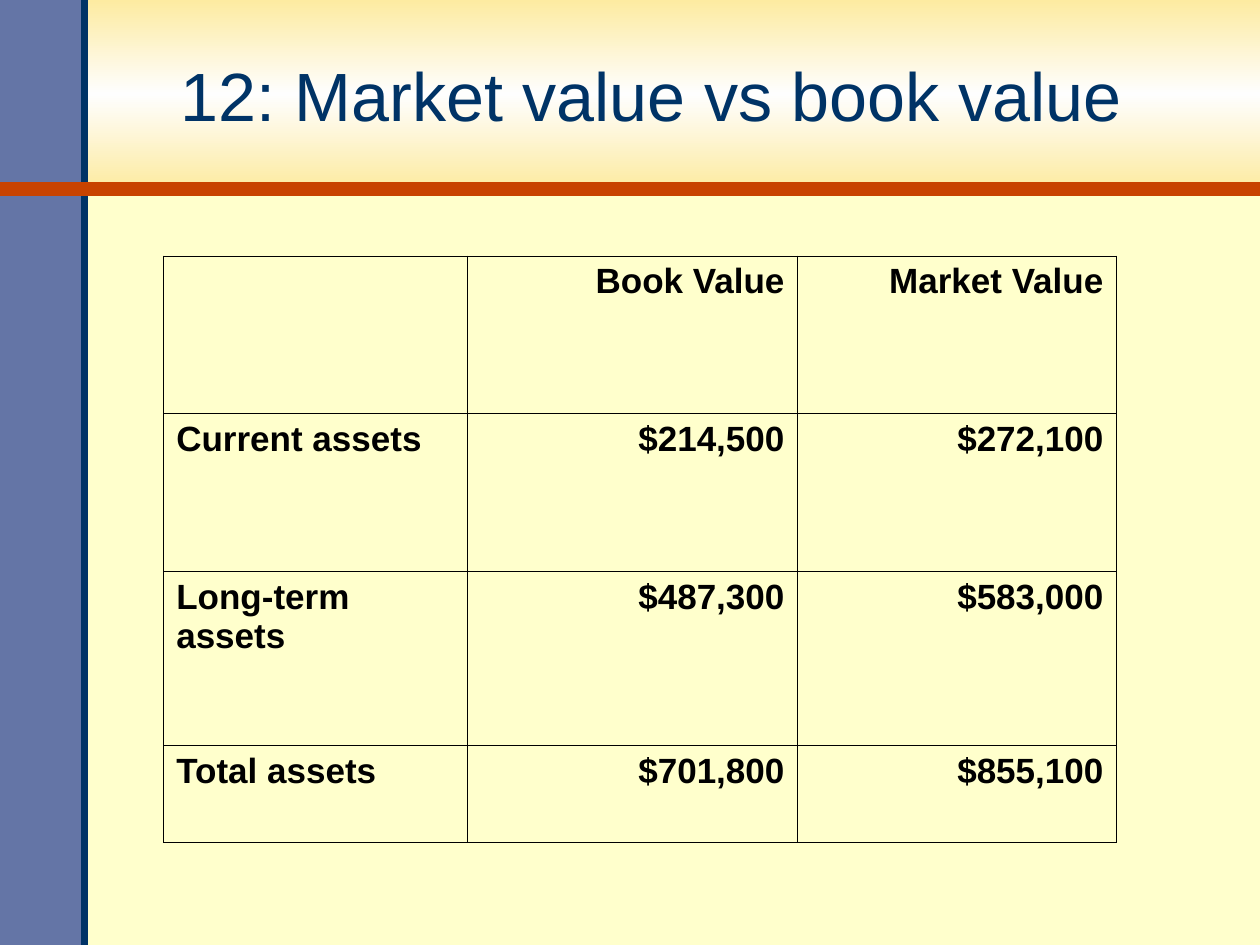
"""Build a slide that compares the market value and book value of assets."""
from copy import deepcopy

from lxml import etree
from pptx import Presentation
from pptx.dml.color import RGBColor
from pptx.enum.shapes import MSO_CONNECTOR, MSO_SHAPE
from pptx.enum.text import MSO_ANCHOR, PP_ALIGN
from pptx.oxml import parse_xml
from pptx.oxml.ns import nsdecls, qn
from pptx.util import Cm, Pt

RECT = MSO_SHAPE.RECTANGLE
LINE = MSO_CONNECTOR.STRAIGHT
MIDDLE = MSO_ANCHOR.MIDDLE
LEFT, RIGHT, CENTER = PP_ALIGN.LEFT, PP_ALIGN.RIGHT, PP_ALIGN.CENTER

CREAM = RGBColor(0xFF, 0xFF, 0xCC)
GOLD = RGBColor(0xFD, 0xEB, 0xA1)
WHITE = RGBColor(0xFE, 0xFE, 0xFE)
SLATE = RGBColor(0x64, 0x75, 0xA6)
NAVY = RGBColor(0x00, 0x33, 0x66)
RUST = RGBColor(0xC8, 0x43, 0x00)
BLACK = RGBColor(0x00, 0x00, 0x00)

WIDE, HIGH = Cm(25.4), Cm(19.05)
SIDE, HEAD = Cm(1.7), Cm(3.81)


def style(para, size, color, align, bold=False):
    para.alignment = align
    for run in para.runs:
        run.font.name = "Arial"
        run.font.size = Pt(size)
        run.font.bold = bold
        run.font.color.rgb = color


deck = Presentation()
deck.slide_width, deck.slide_height = WIDE, HIGH
slide = deck.slides.add_slide(deck.slide_layouts[6])
slide.background.fill.solid()
slide.background.fill.fore_color.rgb = CREAM
shapes = slide.shapes

banner = shapes.add_shape(RECT, 0, 0, WIDE, HEAD)
banner.shadow.inherit = False
banner.line.fill.background()
banner.fill.gradient()
banner.fill.gradient_angle = 90
stops = banner._element.spPr.find(".//" + qn("a:gsLst"))
stops.append(deepcopy(stops[0]))
for stop, color, place in zip(banner.fill.gradient_stops, (GOLD, WHITE, GOLD), (0, 0.5, 1)):
    stop.color.rgb = color
    stop.position = place

side = shapes.add_shape(RECT, 0, 0, SIDE, HIGH)
side.shadow.inherit = False
side.line.fill.background()
side.fill.solid()
side.fill.fore_color.rgb = SLATE

for ends, color, width in (((SIDE, HIGH, SIDE, 0), NAVY, 4), ((0, HEAD, WIDE, HEAD), RUST, 8)):
    rule = shapes.add_connector(LINE, *ends)
    rule.line.color.rgb = color
    rule.line.width = Pt(width)
    etree.SubElement(rule._element.spPr, qn("a:effectLst"))

title = shapes.add_textbox(Cm(1.65), Cm(0.38), Cm(22.96), Cm(3.05)).text_frame
title.word_wrap = True
title.vertical_anchor = MIDDLE
title.text = "12: Market value vs book value"
style(title.paragraphs[0], 39, NAVY, CENTER)

ROWS = (
    ("", "Book Value", "Market Value"),
    ("Current assets", "$214,500", "$272,100"),
    ("Long-term assets", "$487,300", "$583,000"),
    ("Total assets", "$701,800", "$855,100"),
)
widths = (6.12, 6.65, 6.43)
heights = (3.18, 3.18, 3.5, 1.96)
table = shapes.add_table(
    len(heights), len(widths), Cm(3.3), Cm(5.16), Cm(sum(widths)), Cm(sum(heights))
).table
table.first_row = table.horz_banding = False
for col, width in zip(table.columns, widths):
    col.width = Cm(width)

for row, height, texts in zip(table.rows, heights, ROWS):
    row.height = Cm(height)
    for spot, (cell, text) in enumerate(zip(row.cells, texts)):
        props = cell._tc.get_or_add_tcPr()
        for edge in "LRTB":
            props.append(parse_xml(
                f'<a:ln{edge} {nsdecls("a")} w="{Pt(0.45)}"><a:solidFill>'
                f'<a:srgbClr val="{BLACK}"/></a:solidFill></a:ln{edge}>'
            ))
        cell.fill.solid()
        cell.fill.fore_color.rgb = CREAM
        if text:
            cell.text_frame.text = text
            style(cell.text_frame.paragraphs[0], 20, BLACK, RIGHT if spot else LEFT, True)

deck.save("out.pptx")
